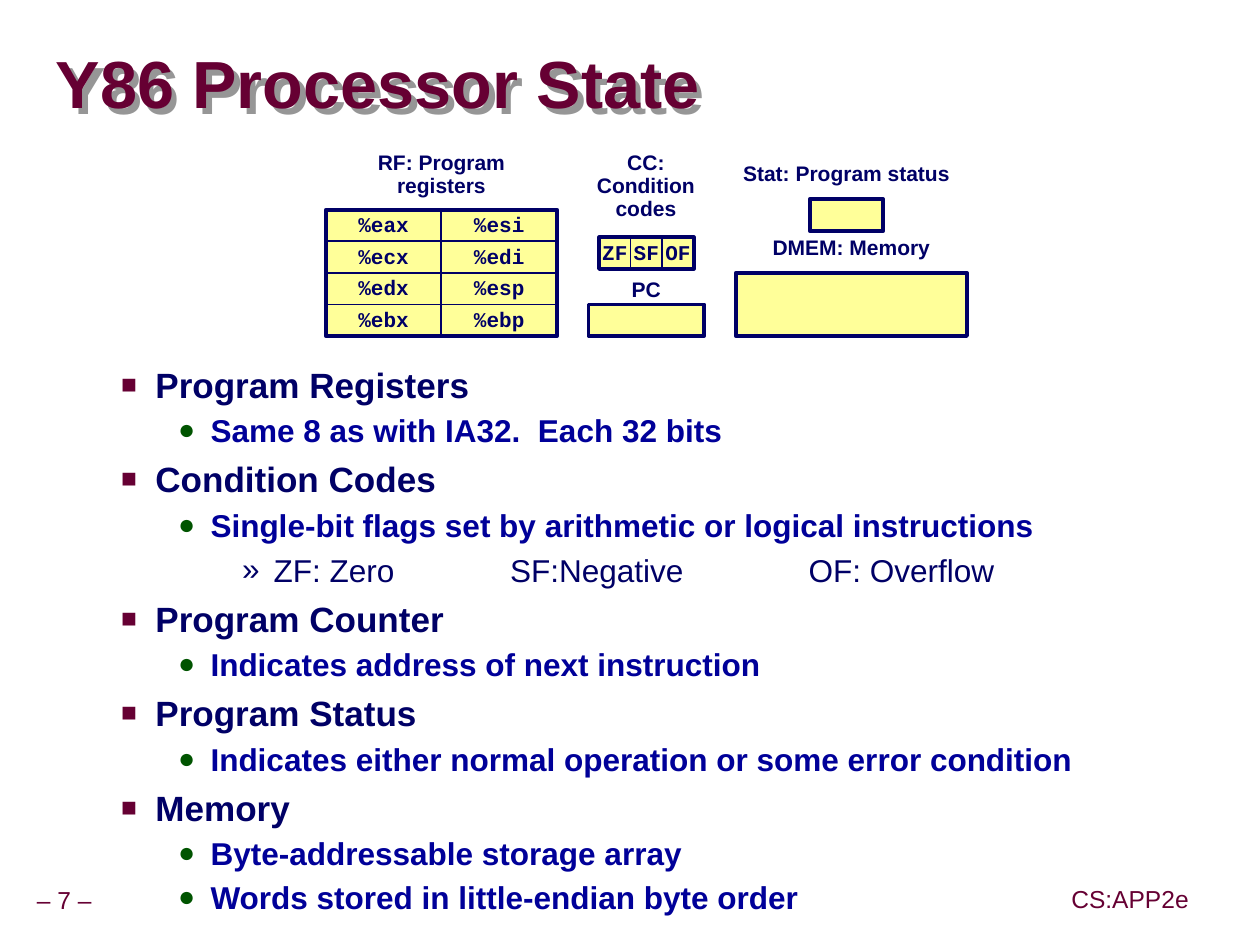
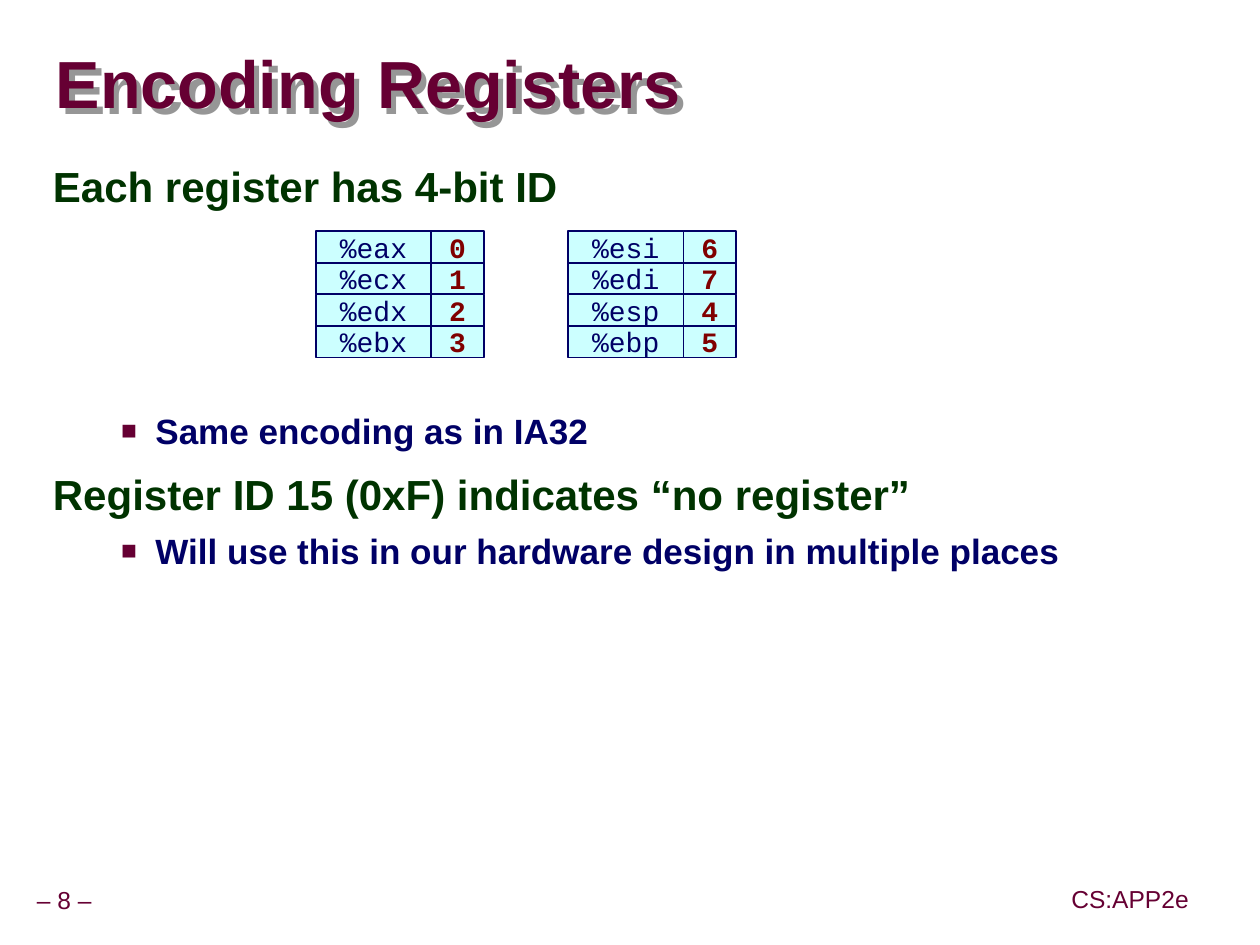
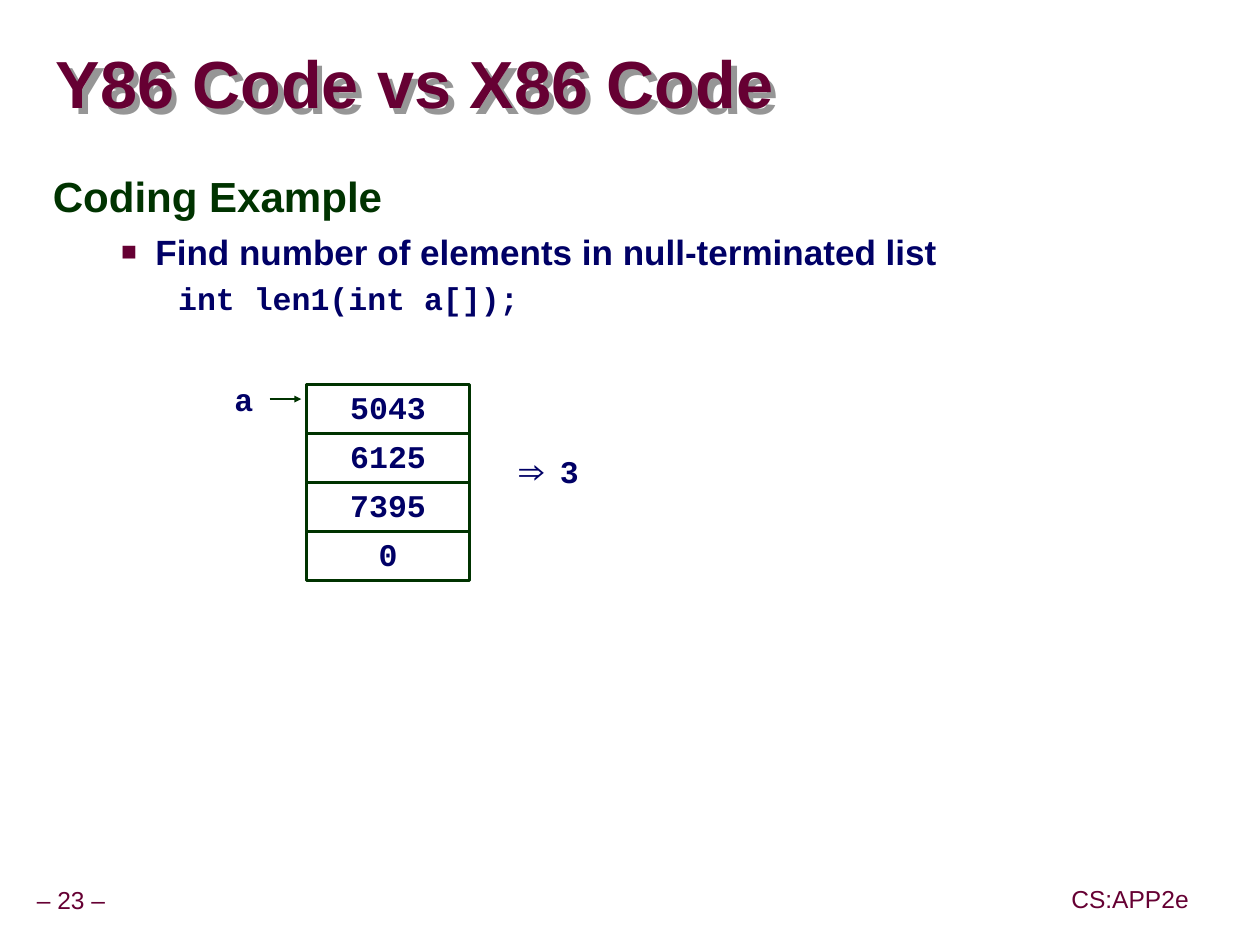
from lxml.etree import SubElement
from pptx import Presentation
from pptx.dml.color import RGBColor
from pptx.enum.shapes import MSO_CONNECTOR, MSO_SHAPE
from pptx.enum.text import MSO_ANCHOR, MSO_AUTO_SIZE, PP_ALIGN
from pptx.oxml import parse_xml
from pptx.oxml.ns import nsdecls, qn
from pptx.util import Pt

MAROON = RGBColor(0x66, 0x00, 0x33)
NAVY = RGBColor(0x00, 0x00, 0x66)
BLUE = RGBColor(0x00, 0x00, 0x99)
GREEN = RGBColor(0x00, 0x33, 0x00)
BULLET_GREEN = RGBColor(0x00, 0x54, 0x00)
RED = RGBColor(0x80, 0x00, 0x00)
YELLOW = RGBColor(0xFF, 0xFF, 0x99)
CYAN = RGBColor(0xCC, 0xFF, 0xFF)
SANS, MONO = "Arial", "Courier New"

TITLE_SHADOW = (
    f'<a:effectLst {nsdecls("a")}><a:outerShdw dist="57150" dir="2700000" algn="ctr">'
    '<a:srgbClr val="969696"/></a:outerShdw></a:effectLst>'
)
TAB_STOPS = (261, 364.5, 431.5)

# Per level: left margin, first-line indent, line spacing, space before,
# size, bold, text colour, and bullet (character, colour, size in percent)
LEVELS = [
    (30, -30, 0.95, 12, 24, True, GREEN, None),
    (58.5, -19.5, 1.0, 5, 20, True, NAVY, ("■", MAROON, 75)),
    (90, -18.5, 1.07, 1.8, 18, True, BLUE, ("●", BULLET_GREEN, 90)),
    (126, -18, 1.0, 4, 18, False, NAVY, ("»", NAVY, 100)),
]

# Page number, title, body frame, and body lines as (level, text)
PAGES = [
    (7, "Y86 Processor State", (23, 203.75, 653, 302), [
        (1, "Program Registers"),
        (2, "Same 8 as with IA32.  Each 32 bits"),
        (1, "Condition Codes"),
        (2, "Single-bit flags set by arithmetic or logical instructions"),
        (3, "ZF: Zero\tSF:Negative\t\tOF: Overflow"),
        (1, "Program Counter"),
        (2, "Indicates address of next instruction"),
        (1, "Program Status"),
        (2, "Indicates either normal operation or some error condition"),
        (1, "Memory"),
        (2, "Byte-addressable storage array"),
        (2, "Words stored in little-endian byte order"),
    ]),
    (8, "Encoding Registers", (23, 90, 653, 416), [
        (0, "Each register has 4-bit ID"),
        (1, "Same encoding as in IA32"),
        (0, "Register ID 15 (0xF) indicates “no register”"),
        (1, "Will use this in our hardware design in multiple places"),
    ]),
    (23, "Y86 Code vs X86 Code", (23, 95.75, 649, 222), [
        (0, "Coding Example"),
        (1, "Find number of elements in null-terminated list"),
        (2, "int len1(int a[]);"),
    ]),
]


def write(para, text, size, color, font=SANS, bold=True, spacing=0.9):
    para.line_spacing = spacing
    span = para.add_run()
    span.text = text
    span.font.name, span.font.size, span.font.bold = font, Pt(size), bold
    span.font.color.rgb = color


def add_box(page, frame, text="", fill=None, line=None, weight=1, size=12, color=NAVY,
            font=MONO, bold=True, spacing=0.9, align=PP_ALIGN.CENTER, inset=None, wrap=False,
            anchor=MSO_ANCHOR.MIDDLE):
    """Add a rectangle, or a plain text box when there is no line colour."""
    area = [Pt(length) for length in frame]
    if line is None:
        box = page.shapes.add_textbox(*area)
    else:
        box = page.shapes.add_shape(MSO_SHAPE.RECTANGLE, *area)
        box.shadow.inherit = False
        box.line.color.rgb, box.line.width = line, Pt(weight)
        if fill is None:
            box.fill.background()
        else:
            box.fill.solid()
            box.fill.fore_color.rgb = fill
    holder = box.text_frame
    holder.word_wrap, holder.vertical_anchor = wrap, anchor
    if inset is not None:
        holder.margin_left = holder.margin_right = Pt(inset)
        holder.margin_top = holder.margin_bottom = Pt(inset)
    if text:
        holder.paragraphs[0].alignment = align
        write(holder.paragraphs[0], text, size, color, font, bold, spacing)


deck = Presentation()
deck.slide_width, deck.slide_height = Pt(719.28), Pt(539.28)

# Titles, footers and body lists
for number, heading, body_frame, lines in PAGES:
    page = deck.slides.add_slide(deck.slide_layouts[1])
    title, body = page.shapes.title, page.placeholders[1]
    for holder, frame in ((title, (31.75, 19.5, 685.5, 61)), (body, body_frame)):
        holder.left, holder.top, holder.width, holder.height = [Pt(n) for n in frame]
        holder.text_frame.auto_size = MSO_AUTO_SIZE.NONE
        holder.text_frame.word_wrap = True

    title_text = title.text_frame
    title_text.vertical_anchor = MSO_ANCHOR.MIDDLE
    title_text.margin_left = title_text.margin_right = 0
    title_text.margin_top = title_text.margin_bottom = 0
    title_text.paragraphs[0].alignment = PP_ALIGN.LEFT
    write(title_text.paragraphs[0], heading, 38, MAROON, spacing=0.87)
    title._element.spPr.append(parse_xml(TITLE_SHADOW))

    for frame, text in (((17.5, 503.5, 47.5, 22), f"– {number} –"),
                        ((608, 503, 75, 22), "CS:APP2e")):
        add_box(page, frame, text, size=14, color=MAROON, font=SANS, bold=False,
                align=PP_ALIGN.LEFT, inset=3.6)

    body.text_frame.vertical_anchor = MSO_ANCHOR.TOP
    body.text_frame.margin_top = Pt(3.6)
    for index, (level, text) in enumerate(lines):
        margin, indent, spacing, before, size, bold, color, bullet = LEVELS[level]
        is_code = text.endswith(";")
        para = body.text_frame.paragraphs[0] if index == 0 else body.text_frame.add_paragraph()
        para.level = level
        props = para._p.get_or_add_pPr()
        props.set("marL", str(Pt(margin)))
        props.set("indent", str(Pt(indent)))
        if bullet and not is_code:
            mark, mark_color, percent = bullet
            SubElement(SubElement(props, qn("a:buClr")), qn("a:srgbClr"), val=str(mark_color))
            SubElement(props, qn("a:buSzPct"), val=str(percent * 1000))
            SubElement(props, qn("a:buFont"), typeface=SANS)
            SubElement(props, qn("a:buChar"), char=mark)
        else:
            SubElement(props, qn("a:buNone"))
        if "\t" in text:
            tabs = SubElement(props, qn("a:tabLst"))
            for stop in TAB_STOPS:
                SubElement(tabs, qn("a:tab"), pos=str(Pt(stop)), algn="l")
        para.alignment = PP_ALIGN.LEFT
        para.space_before = Pt(before if index else 0)
        write(para, text, size, NAVY if is_code else color, MONO if is_code else SANS,
              bold, spacing)

state_page, encoding_page, code_page = deck.slides
# The first list item on the encoding page clears the register tables
encoding_page.placeholders[1].text_frame.paragraphs[1].space_before = Pt(112.75)

# Processor state: storage blocks, their cells and their labels
REGISTERS = [["%eax", "%ecx", "%edx", "%ebx"], ["%esi", "%edi", "%esp", "%ebp"]]
CELL_WIDTH, CELL_HEIGHT = 66, 18
for frame in ((186, 119.75, 132, 72), (342, 135.5, 54, 18), (336, 173.75, 66, 18),
              (420, 155.75, 132, 36), (462.25, 113.75, 42, 18)):
    add_box(state_page, frame, fill=YELLOW, line=NAVY, weight=2.25)
for column, names in enumerate(REGISTERS):
    for row, name in enumerate(names):
        add_box(state_page, (186 + column * CELL_WIDTH, 119.75 + row * CELL_HEIGHT,
                             CELL_WIDTH, CELL_HEIGHT), name, line=NAVY)
for column, flag in enumerate(("ZF", "SF", "OF")):
    add_box(state_page, (342 + column * 18, 135.5, 18, 18), flag, line=NAVY)
for frame, label in (((186, 83.5, 132, 36), "RF: Program registers"),
                     ((329.75, 83.5, 78, 47), "CC: Condition codes"),
                     ((336, 155.75, 66, 21.5), "PC"),
                     ((420, 131.75, 132, 21.5), "DMEM: Memory"),
                     ((408.25, 89.5, 150, 21.5), "Stat: Program status")):
    add_box(state_page, frame, label, font=SANS, wrap=True, anchor=MSO_ANCHOR.TOP)

# Register encoding: name and ID side by side
for column, (names, codes) in enumerate(zip(REGISTERS, ("0123", "6745"))):
    left = 180.25 + column * 144
    for row, (name, code) in enumerate(zip(names, codes)):
        top = 132 + row * CELL_HEIGHT
        add_box(encoding_page, (left, top, CELL_WIDTH, CELL_HEIGHT), name, CYAN, NAVY,
                size=16, bold=False, spacing=1.0)
        add_box(encoding_page, (left + CELL_WIDTH, top, 30, CELL_HEIGHT), code, CYAN, NAVY,
                size=16, color=RED, spacing=1.0)

# Code example: the null-terminated list, its pointer and the result
for row, value in enumerate(("5043", "6125", "7395", "0")):
    add_box(code_page, (175, 219.5 + row * 28, 93, 28), value, line=GREEN, weight=1.5,
            size=18, inset=3.6)
for frame, text in (((130.25, 215.5, 18, 26.5), "a"), ((294.5, 257, 47, 26.5), "⇒ 3")):
    add_box(code_page, frame, text, size=18, align=PP_ALIGN.LEFT, inset=3.6,
            anchor=MSO_ANCHOR.TOP)
pointer = code_page.shapes.add_connector(MSO_CONNECTOR.STRAIGHT, Pt(154), Pt(227.75),
                                         Pt(172), Pt(227.75))
pointer.line.color.rgb, pointer.line.width = GREEN, Pt(1.5)
SubElement(pointer.line._get_or_add_ln(), qn("a:tailEnd"), type="triangle", w="sm", len="sm")
SubElement(pointer._element.spPr, qn("a:effectLst"))

deck.save("out.pptx")
